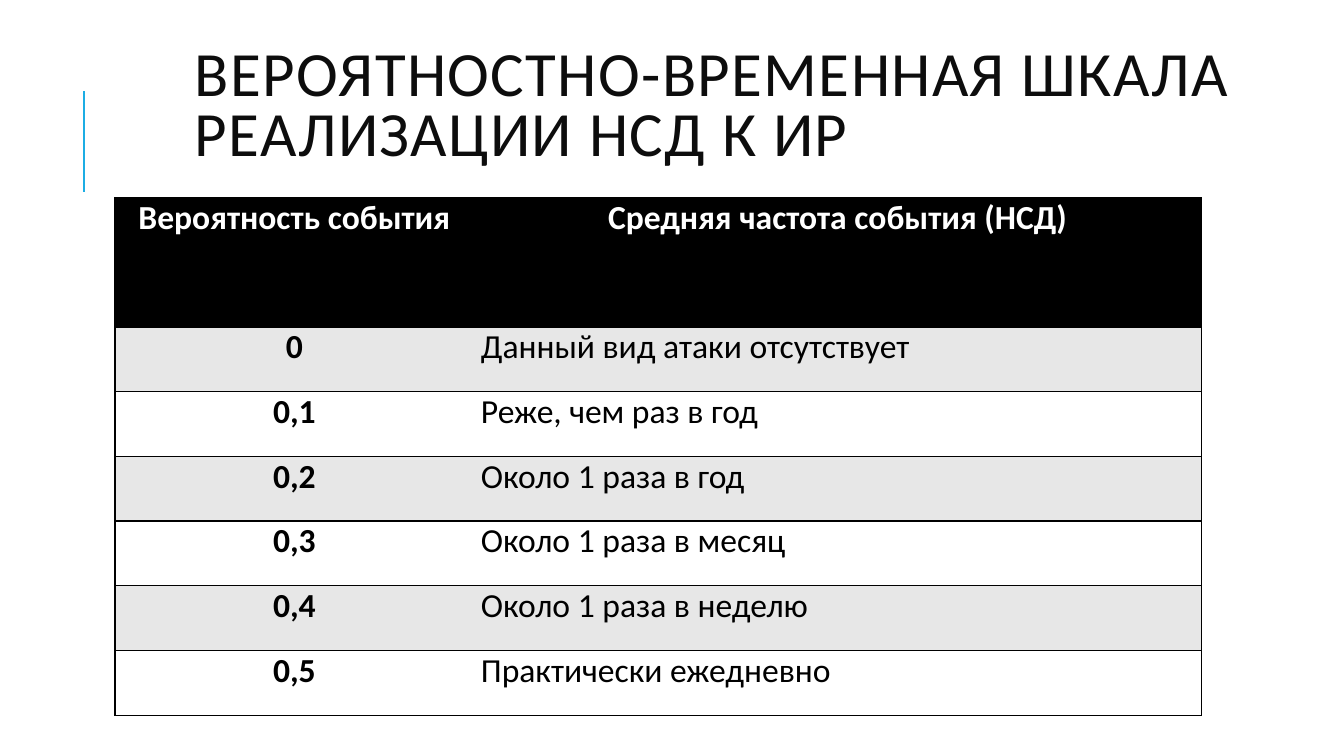
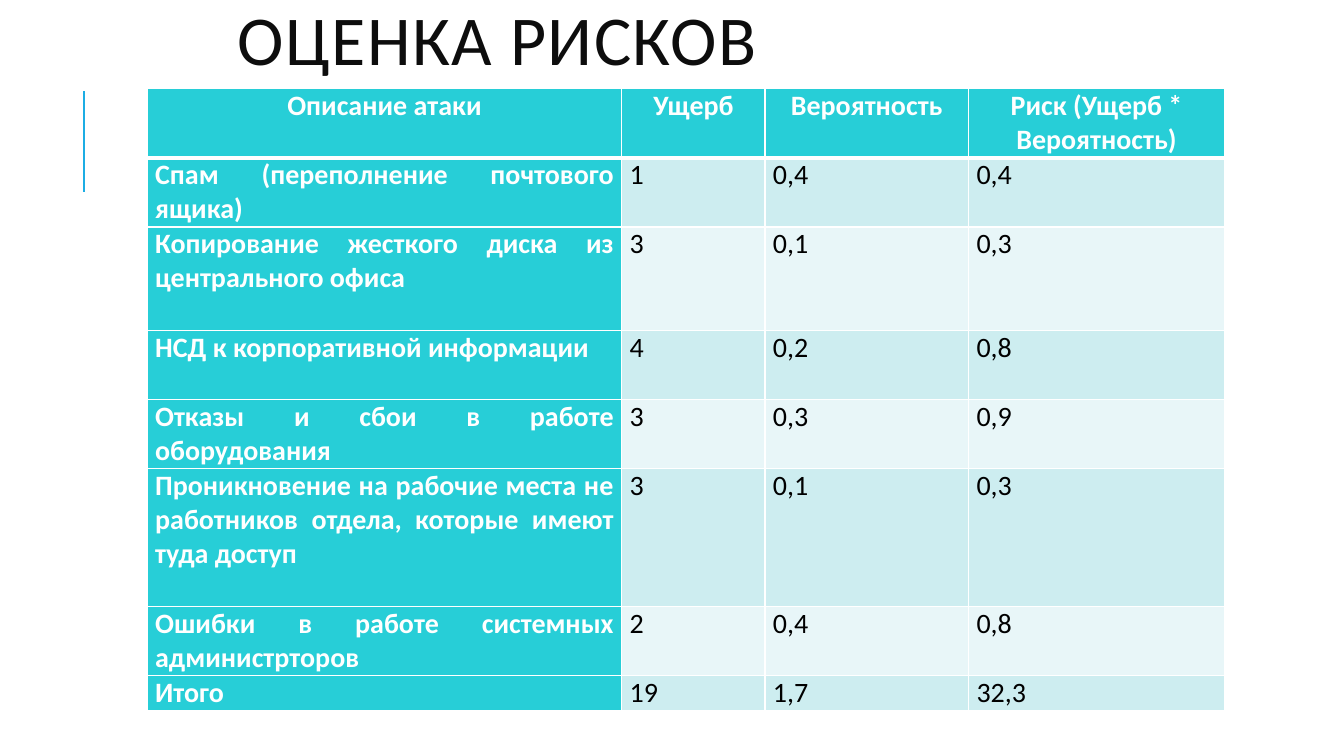
import dataclasses

import pptx
import pptx.dml.color
import pptx.enum.shapes
import pptx.enum.text
import pptx.oxml
import pptx.oxml.ns
import pptx.util

Cm, Pt = pptx.util.Cm, pptx.util.Pt
ALIGN = pptx.enum.text.PP_ALIGN
ANCHOR = pptx.enum.text.MSO_ANCHOR


@dataclasses.dataclass(frozen=True)
class Theme:
    font: str = "Calibri"
    title: str = "0D0D0D"
    accent: str = "1CADE4"
    dark: str = "000000"
    light: str = "FFFFFF"
    grey: str = "E7E7E7"
    teal: str = "27CED7"
    teal_band: str = "CDEDF0"
    teal_pale: str = "E8F6F8"
    title_spacing: float = 0.8
    title_tracking: int = 100
    accent_width: float = 1.5
    rule_width: float = 1


THEME = Theme()


@dataclasses.dataclass(frozen=True)
class TableStyle:
    size: int
    inset: float
    head_fill: str
    bands: tuple
    rule: str
    head_rule: float
    inner_columns: bool
    key_align: ALIGN
    key_color: str
    key_fill: str = ""  # empty: the key column follows the bands


MONOCHROME = TableStyle(
    size=24, inset=0.18, head_fill=THEME.dark, bands=(THEME.grey, THEME.light),
    rule=THEME.dark, head_rule=THEME.rule_width, inner_columns=False,
    key_align=ALIGN.CENTER, key_color=THEME.dark)
TURQUOISE = TableStyle(
    size=20, inset=0.2, head_fill=THEME.teal, bands=(THEME.teal_band, THEME.teal_pale),
    rule=THEME.light, head_rule=3, inner_columns=True,
    key_align=ALIGN.JUSTIFY, key_color=THEME.light, key_fill=THEME.teal)

SLIDE_SIZE = (33.87, 19.05)
ACCENT_LINE = (2.12, 4.83, 2.12, 2.29)

# Positions are in cm; row_units are multiples of unit.
SLIDES = [
    dict(
        title="ВЕРОЯТНОСТНО-ВРЕМЕННАЯ ШКАЛА РЕАЛИЗАЦИИ НСД К ИР",
        title_size=45, title_box=(4.65, 0.89, 29.21, 3.68),
        style=MONOCHROME, corner=(2.9, 4.98), columns=(9.04, 18.34),
        unit=1.63, row_units=(2, 1, 1, 1, 1, 1, 1),
        rows=[
            ("Вероятность события", "Средняя частота события (НСД)"),
            ("0", "Данный вид атаки отсутствует"),
            ("0,1", "Реже, чем раз в год"),
            ("0,2", "Около 1 раза в год"),
            ("0,3", "Около 1 раза в месяц"),
            ("0,4", "Около 1 раза в неделю"),
            ("0,5", "Практически ежедневно"),
        ]),
    dict(
        title="ОЦЕНКА РИСКОВ",
        title_size=50, title_box=(5.74, -0.46, 20.75, 3.18),
        style=TURQUOISE, corner=(3.71, 2.24), columns=(11.96, 3.61, 5.13, 6.45),
        unit=0.87, row_units=(2, 2, 3, 2, 2, 4, 2, 1),
        rows=[
            ("Описание атаки", "Ущерб", "Вероятность", "Риск (Ущерб * Вероятность)"),
            ("Спам (переполнение почтового ящика)", "1", "0,4", "0,4"),
            ("Копирование жесткого диска из центрального офиса", "3", "0,1", "0,3"),
            ("НСД к корпоративной информации", "4", "0,2", "0,8"),
            ("Отказы и сбои в работе оборудования", "3", "0,3", "0,9"),
            ("Проникновение на рабочие места не работников отдела, которые имеют туда доступ",
             "3", "0,1", "0,3"),
            ("Ошибки в работе системных администрторов", "2", "0,4", "0,8"),
            ("Итого", "19", "1,7", "32,3"),
        ]),
]


def rgb(value):
    return pptx.dml.color.RGBColor.from_string(value)


def write(frame, text, *, size, color, bold=False, align=ALIGN.LEFT, spacing=None, tracking=None):
    paragraph = frame.paragraphs[0]
    paragraph.alignment = align
    paragraph.line_spacing = spacing
    run = paragraph.add_run()
    run.text = text
    run.font.name = THEME.font
    run.font.size = Pt(size)
    run.font.bold = bold
    run.font.color.rgb = rgb(color)
    if tracking:
        run.font._element.set("spc", str(tracking))


def set_borders(cell, color, widths):
    """Draw the cell's sides; widths go left, right, top, bottom, and 0 means none."""
    properties = cell._tc.get_or_add_tcPr()
    for side, width in zip("LRTB", widths):
        fill = f'<a:solidFill><a:srgbClr val="{color}"/></a:solidFill>' if width else "<a:noFill/>"
        properties.append(pptx.oxml.parse_xml(
            f'<a:ln{side} {pptx.oxml.ns.nsdecls("a")} w="{Pt(width)}">{fill}</a:ln{side}>'))


def add_accent_line(slide, layout):
    """Draw the line and move it to the layout, so that every slide shows it."""
    line = slide.shapes.add_connector(
        pptx.enum.shapes.MSO_CONNECTOR.STRAIGHT, *map(Cm, ACCENT_LINE))
    line.line.color.rgb = rgb(THEME.accent)
    line.line.width = Pt(THEME.accent_width)
    line.element.spPr.append(
        pptx.oxml.parse_xml(f'<a:effectLst {pptx.oxml.ns.nsdecls("a")}/>'))
    line.element.nvCxnSpPr.cNvPr.id = 1 + max(shape.shape_id for shape in layout.shapes)
    layout.shapes.element.append(line.element)


def add_title(slide, content):
    title = slide.shapes.title
    title.left, title.top, title.width, title.height = map(Cm, content["title_box"])
    frame = title.text_frame
    frame.word_wrap = True
    frame.auto_size = pptx.enum.text.MSO_AUTO_SIZE.NONE
    frame.vertical_anchor = ANCHOR.MIDDLE
    write(frame, content["title"], size=content["title_size"], color=THEME.title,
          spacing=THEME.title_spacing, tracking=THEME.title_tracking)


def format_cell(cell, text, row, column, last_column, style):
    is_head, is_key = row == 0, column == 0
    if is_head:
        fill, color, align = style.head_fill, THEME.light, ALIGN.CENTER
    else:
        fill, color, align = style.bands[(row - 1) % 2], THEME.dark, ALIGN.LEFT
        if is_key:
            fill, color, align = style.key_fill or fill, style.key_color, style.key_align

    thin = THEME.rule_width
    left = thin if is_key or style.inner_columns else 0
    right = thin if column == last_column or style.inner_columns else 0
    top = style.head_rule if row == 1 else thin
    bottom = style.head_rule if is_head else thin
    set_borders(cell, style.rule, (left, right, top, bottom))

    cell.fill.solid()
    cell.fill.fore_color.rgb = rgb(fill)
    cell.margin_left = cell.margin_right = Cm(style.inset)
    cell.margin_top = cell.margin_bottom = 0
    cell.vertical_anchor = ANCHOR.TOP
    write(cell.text_frame, text, size=style.size, color=color,
          bold=is_head or is_key, align=align)


def add_table(slide, content):
    rows, columns, unit = content["rows"], content["columns"], content["unit"]
    heights = [unit * count for count in content["row_units"]]
    table = slide.shapes.add_table(
        len(rows), len(columns), *map(Cm, content["corner"]),
        Cm(sum(columns)), Cm(sum(heights))).table
    table.horz_banding = False
    for column, width in zip(table.columns, columns):
        column.width = Cm(width)
    for row, height in zip(table.rows, heights):
        row.height = Cm(height)
    for r, texts in enumerate(rows):
        for c, text in enumerate(texts):
            format_cell(table.cell(r, c), text, r, c, len(columns) - 1, content["style"])


def main():
    deck = pptx.Presentation()
    deck.slide_width, deck.slide_height = map(Cm, SLIDE_SIZE)
    layout = deck.slide_layouts.get_by_name("Title Only")
    for number, content in enumerate(SLIDES):
        slide = deck.slides.add_slide(layout)
        if number == 0:
            add_accent_line(slide, layout)
        add_title(slide, content)
        add_table(slide, content)
    deck.save("out.pptx")


if __name__ == "__main__":
    main()
